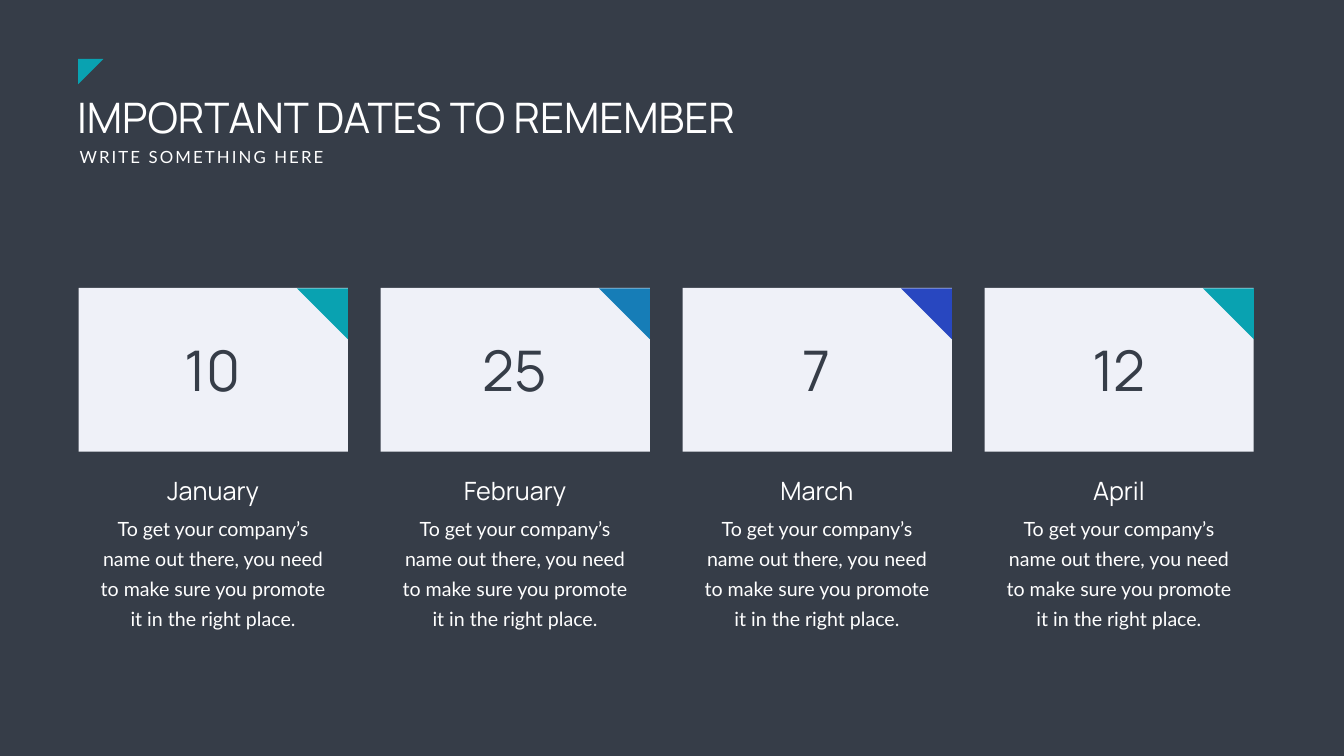
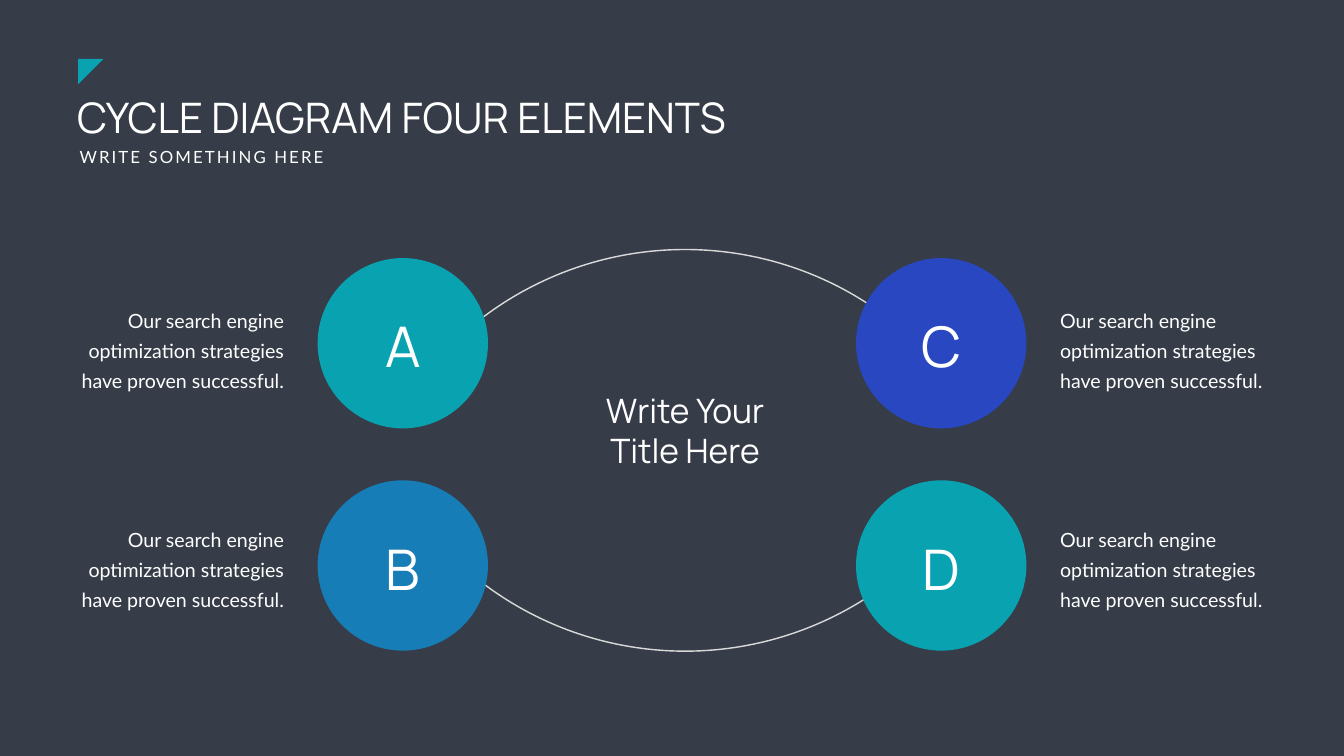
from pptx import Presentation
from pptx.dml.color import RGBColor
from pptx.enum.shapes import MSO_SHAPE
from pptx.enum.text import MSO_ANCHOR, MSO_AUTO_SIZE, PP_ALIGN
from pptx.util import Inches, Pt

RECTANGLE, TRIANGLE = MSO_SHAPE.RECTANGLE, MSO_SHAPE.RIGHT_TRIANGLE
OVAL, ARC = MSO_SHAPE.OVAL, MSO_SHAPE.ARC
LEFT, CENTER, RIGHT = PP_ALIGN.LEFT, PP_ALIGN.CENTER, PP_ALIGN.RIGHT
TOP, GROW = MSO_ANCHOR.TOP, MSO_AUTO_SIZE.SHAPE_TO_FIT_TEXT

SLATE, WHITE, PALE, GRAY = "363D48", "FFFFFF", "EFF1F8", "D9D9D9"
TEAL, BLUE, INDIGO = "09A2B1", "167DB7", "2847C0"
HEADING, BODY = "Manrope", "Lato"
TITLE_ONLY = 5

DATE_TEXT = ("To get your company’s name out there, you need to make sure "
             "you promote it in the right place.")
CYCLE_TEXT = "Our search engine optimization strategies have proven successful."


def color(value):
    return RGBColor.from_string(value)


def write(box, text, size, font=HEADING, fill=WHITE, align=LEFT,
          line=None, spacing=None, wrap=True):
    frame = box.text_frame
    frame.word_wrap = wrap
    frame.auto_size = GROW
    frame.vertical_anchor = TOP
    para = frame.paragraphs[0]
    para.alignment = align
    if line:
        para.line_spacing = Pt(line)
    span = para.add_run()
    span.text = text
    span.font.name = font
    span.font.size = Pt(size)
    span.font.color.rgb = color(fill)
    if spacing:
        span._r.get_or_add_rPr().set("spc", str(spacing * 100))


class Builder:
    def __init__(self):
        self.deck = Presentation()
        self.deck.slide_width = Inches(26.66)
        self.deck.slide_height = Inches(15)
        background = self.deck.slide_master.background.fill
        background.solid()
        background.fore_color.rgb = color(SLATE)
        self.page = None

    def add_page(self, title, title_width):
        layout = self.deck.slide_layouts[TITLE_ONLY]
        self.page = self.deck.slides.add_slide(layout)
        heading = self.page.shapes.title
        heading.left, heading.top = Inches(1.43), Inches(1.76)
        heading.width, heading.height = Inches(title_width), Inches(1.11)
        write(heading, title, 60)
        self.text("WRITE SOMETHING HERE", 1.48, 2.87, 5.14, 0.5,
                  size=24, font=BODY, spacing=3, wrap=False)
        self.shape(TRIANGLE, 1.55, 1.17, 0.5, 0.5, TEAL, rotation=90)

    def text(self, text, left, top, width, height, **style):
        box = self.page.shapes.add_textbox(
            Inches(left), Inches(top), Inches(width), Inches(height))
        write(box, text, **style)

    def body(self, text, left, top, width, height, align):
        self.text(text, left, top, width, height,
                  size=28, font=BODY, align=align, line=43)

    def shape(self, kind, left, top, width, height, fill=None, line=None,
              rotation=0):
        shape = self.page.shapes.add_shape(
            kind, Inches(left), Inches(top), Inches(width), Inches(height))
        shape.shadow.inherit = False
        shape.rotation = rotation
        if fill:
            shape.fill.solid()
            shape.fill.fore_color.rgb = color(fill)
        else:
            shape.fill.background()
        if line:
            shape.line.color.rgb = color(line)
            shape.line.width = Pt(2)
        else:
            shape.line.fill.background()

    def date_card(self, left, day, month, accent):
        width, corner = 5.34, 1.01
        self.shape(RECTANGLE, left, 5.71, width, 3.25, PALE)
        self.body(DATE_TEXT, left + 0.19, 10.08, 4.95, 2.46, CENTER)
        self.text(month, left + 0.57, 9.38, 4.19, 0.71, size=36, align=CENTER)
        self.text(day, left + 0.57, 6.61, 4.19, 1.45,
                  size=80, fill=SLATE, align=CENTER)
        self.shape(TRIANGLE, left + width - corner, 5.72, corner, corner,
                   accent, rotation=180)

    def cycle_step(self, letter, left, top, fill, text_left, text_top, align):
        self.shape(OVAL, left, top, 3.38, 3.38, fill)
        self.text(letter, left + 0.29, top + 1.02, 2.8, 1.45,
                  size=80, align=CENTER, spacing=6)
        self.body(CYCLE_TEXT, text_left, text_top, 4.25, 1.85, align)


def add_dates(builder):
    builder.add_page("IMPORTANT DATES TO REMEMBER", 15.41)
    dates = [("10", "January", TEAL), ("25", "February", BLUE),
             ("7", "March", INDIGO), ("12", "April", TEAL)]
    for index, (day, month, accent) in enumerate(dates):
        builder.date_card(1.56 + index * 5.99, day, month, accent)


def add_cycle(builder):
    builder.add_page("CYCLE DIAGRAM FOUR ELEMENTS", 15.23)
    for top, rotation in ((-0.38, 135), (4.95, 315)):
        builder.shape(ARC, 6.94, top, 13.3, 13.3, line=GRAY, rotation=rotation)
    columns = [(6.3, 1.48, RIGHT, (("A", TEAL), ("B", BLUE))),
               (16.98, 20.93, LEFT, (("C", INDIGO), ("D", TEAL)))]
    rows = [(5.12, 5.94), (9.53, 10.29)]
    for left, text_left, align, steps in columns:
        for (letter, fill), (top, text_top) in zip(steps, rows):
            builder.cycle_step(letter, left, top, fill,
                               text_left, text_top, align)
    builder.shape(OVAL, 10.67, 6.04, 5.8, 5.8, SLATE)
    builder.text("Write Your Title Here", 11.89, 7.68, 3.4, 2.52,
                 size=48, align=CENTER)


def main():
    builder = Builder()
    add_dates(builder)
    add_cycle(builder)
    builder.deck.save("out.pptx")


if __name__ == "__main__":
    main()
